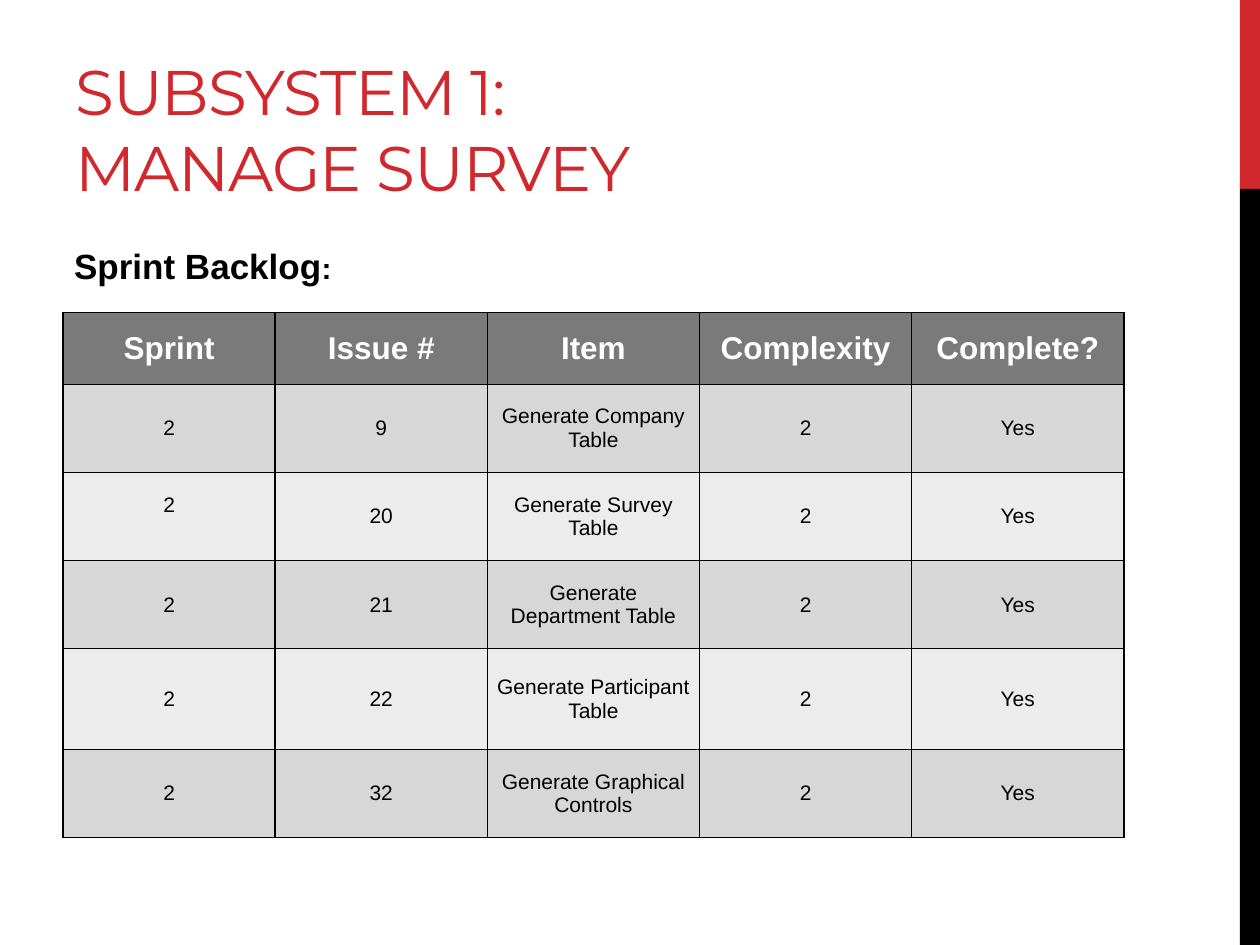
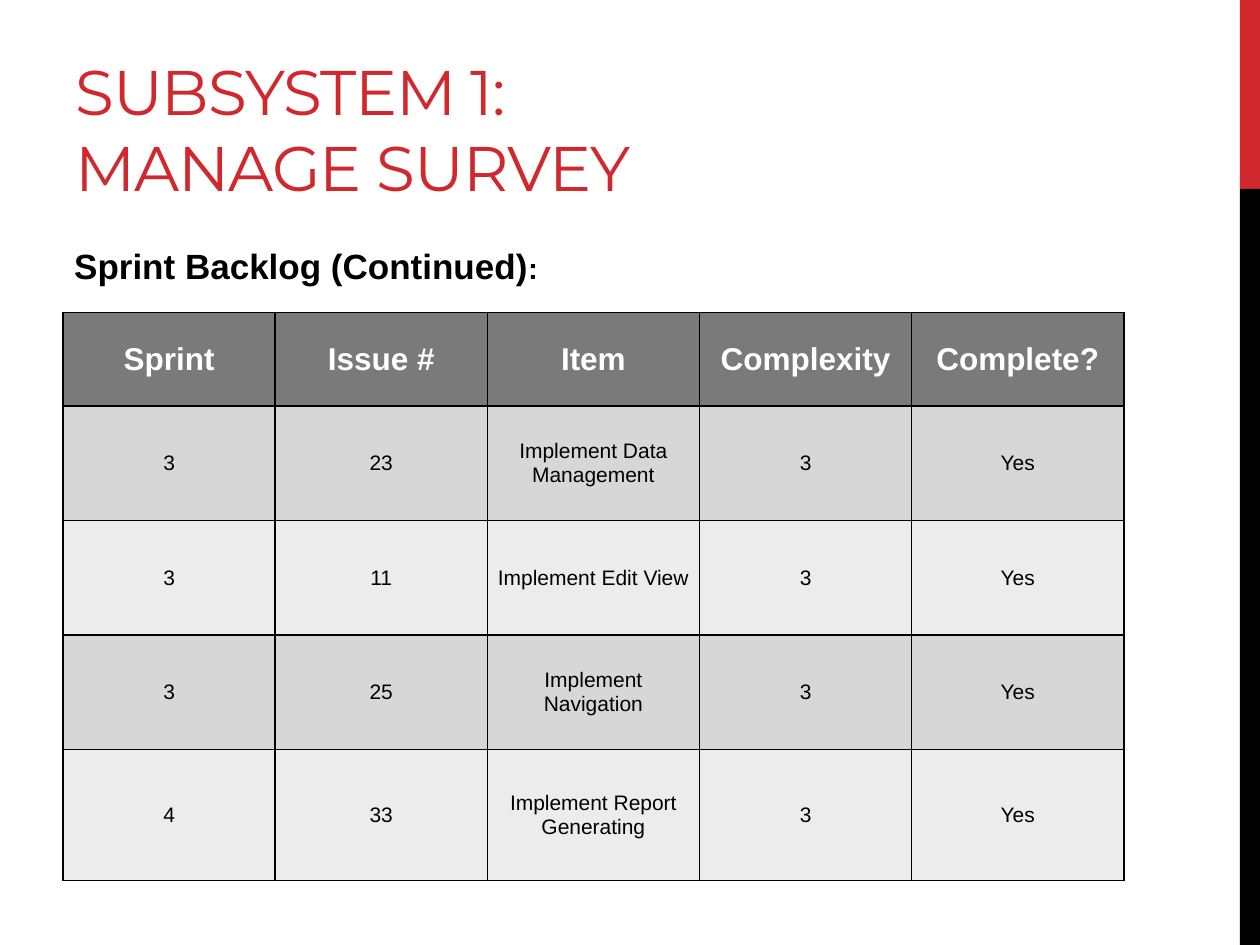
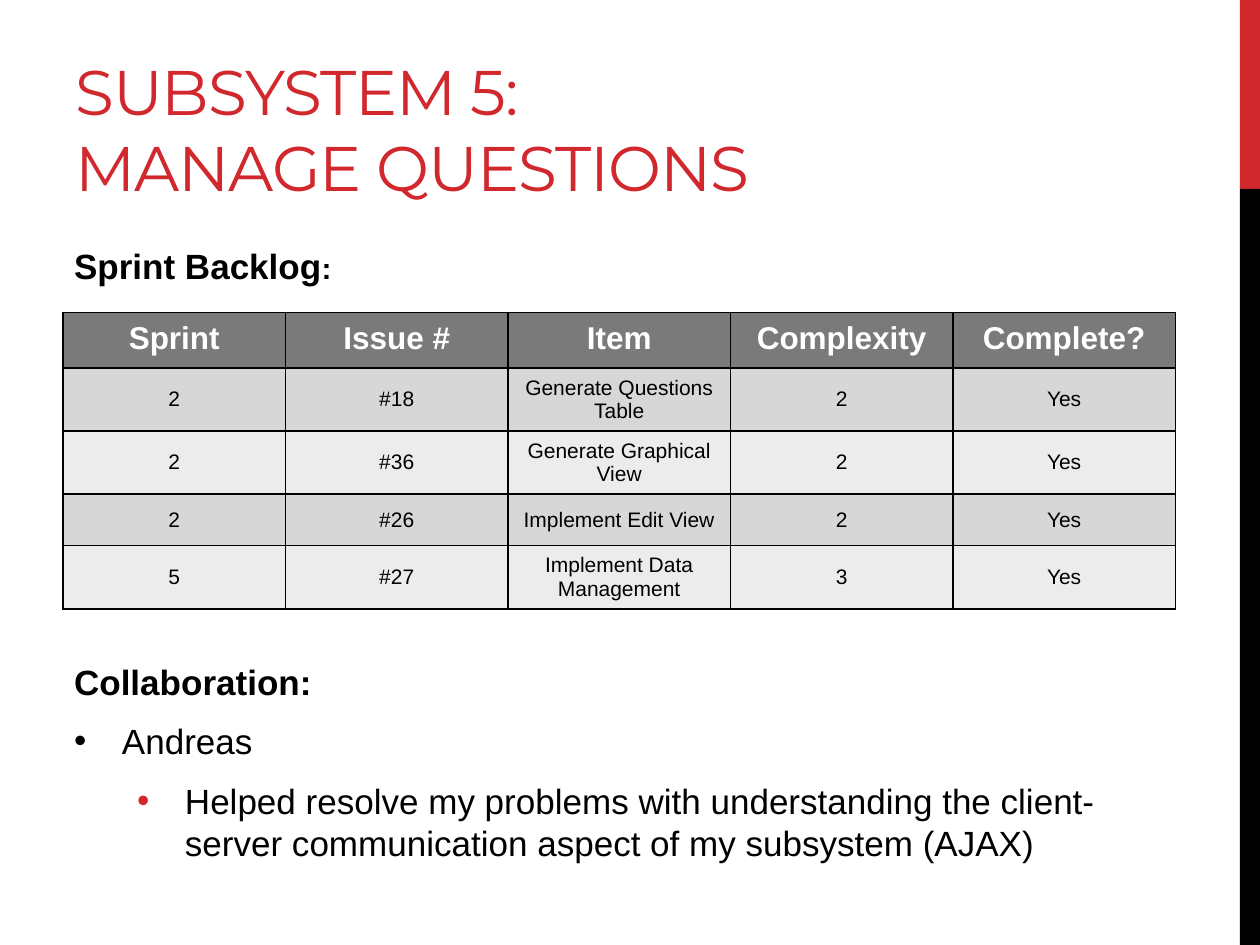
from lxml import etree
from pptx import Presentation
from pptx.dml.color import RGBColor
from pptx.enum.shapes import MSO_SHAPE
from pptx.enum.text import MSO_ANCHOR, MSO_AUTO_SIZE, PP_ALIGN
from pptx.oxml.ns import qn
from pptx.util import Inches, Pt

RECTANGLE = MSO_SHAPE.RECTANGLE
TOP, MIDDLE, BOTTOM = MSO_ANCHOR.TOP, MSO_ANCHOR.MIDDLE, MSO_ANCHOR.BOTTOM
CENTER = PP_ALIGN.CENTER
GROW = MSO_AUTO_SIZE.SHAPE_TO_FIT_TEXT

WIDTH, HEIGHT = Inches(10), Inches(7.5)
RED, BLACK, WHITE = "D1282E", "000000", "FFFFFF"
HEADER_GRAY, BANDS = "7A7A7A", ("D7D7D7", "ECECEC")
BODY_FONT, TITLE_FONT = "Arial", "Montserrat"

STRIPES = [((98.4, 0, 1.6, 20), RED), ((98.4, 20, 1.6, 80), BLACK)]
TITLE_BOX = (5, 2.27, 63.3, 20)
BACKLOG_LEFT, BACKLOG_TOP = 5, 33.07
COLLABORATION_BOX = (4.9, 68.93, 88.3, 23.33)
COLUMNS = ["Sprint", "Issue #", "Item", "Complexity", "Complete?"]


def color(value):
    return RGBColor.from_string(value)


def across(percent):
    return round(WIDTH * percent / 100)


def down(percent):
    return round(HEIGHT * percent / 100)


def place(box):
    left, top, width, height = box
    return across(left), down(top), across(width), down(height)


def style(run, size, ink=BLACK, bold=False, face=BODY_FONT):
    run.font.size = Pt(size)
    run.font.name = face
    run.font.bold = bold
    run.font.color.rgb = color(ink)


def add_stripes(slide):
    for box, ink in STRIPES:
        stripe = slide.shapes.add_shape(RECTANGLE, *place(box))
        stripe.shadow.inherit = False
        stripe.fill.solid()
        stripe.fill.fore_color.rgb = color(ink)
        stripe.line.fill.background()


def add_title(slide, box, title):
    frame = slide.shapes.add_textbox(*place(box)).text_frame
    frame.word_wrap = True
    frame.vertical_anchor = BOTTOM
    frame.text = title
    for run in frame.paragraphs[0].runs:
        style(run, 36, RED, face=TITLE_FONT)
        run.font._element.set("spc", "-60")


def add_heading(slide, box, heading):
    frame = slide.shapes.add_textbox(*place(box)).text_frame
    frame.word_wrap = False
    frame.auto_size = GROW
    paragraph = frame.paragraphs[0]
    paragraph.line_spacing = 0.9
    paragraph.space_before, paragraph.space_after = Pt(4), Pt(6)
    for words, size in ((heading, 20), (":", 17)):
        run = paragraph.add_run()
        run.text = words
        style(run, size, bold=True)


def add_borders(cell):
    properties = cell._tc.get_or_add_tcPr()
    for side in ("a:lnL", "a:lnR", "a:lnT", "a:lnB"):
        line = etree.SubElement(properties, qn(side), w=str(Pt(1)))
        fill = etree.SubElement(line, qn("a:solidFill"))
        etree.SubElement(fill, qn("a:srgbClr"), val=BLACK)


def fill_cell(cell, words, is_header, shade, inset, anchor):
    add_borders(cell)
    cell.fill.solid()
    cell.fill.fore_color.rgb = color(shade)
    cell.margin_left = cell.margin_right = Inches(0.07)
    cell.margin_top = cell.margin_bottom = Inches(inset)
    cell.vertical_anchor = anchor
    cell.text = words
    paragraph = cell.text_frame.paragraphs[0]
    paragraph.alignment = CENTER
    if is_header:
        style(paragraph.runs[0], 18, WHITE, True)
    else:
        style(paragraph.runs[0], 12)


def add_backlog(slide, width, row_heights, items, inset=0.07, header_anchor=MIDDLE):
    box = (BACKLOG_LEFT, BACKLOG_TOP, width, sum(row_heights))
    backlog = slide.shapes.add_table(len(items) + 1, len(COLUMNS), *place(box)).table
    backlog.horz_banding = False
    for row, height in zip(backlog.rows, row_heights):
        row.height = down(height)
    for index, values in enumerate([COLUMNS] + items):
        is_header = index == 0
        shade = HEADER_GRAY if is_header else BANDS[(index - 1) % 2]
        for column, words in enumerate(values):
            fill_cell(backlog.cell(index, column), words, is_header, shade,
                      0.07 if is_header else inset,
                      header_anchor if is_header else MIDDLE)
    return backlog


def add_bullet(paragraph, indent, ink):
    properties = paragraph._p.get_or_add_pPr()
    properties.set("marL", str(Inches(indent)))
    properties.set("indent", str(-Inches(0.38)))
    bullet_color = etree.SubElement(properties, qn("a:buClr"))
    etree.SubElement(bullet_color, qn("a:srgbClr"), val=ink)
    etree.SubElement(properties, qn("a:buFont"), typeface=BODY_FONT)
    etree.SubElement(properties, qn("a:buChar"), char="•")


def add_collaboration(slide, box, heading, person, help_given):
    frame = slide.shapes.add_textbox(*place(box)).text_frame
    frame.word_wrap = True
    frame.vertical_anchor = MIDDLE
    frame.margin_top = frame.margin_bottom = Inches(0.1)
    frame.text = "\n".join((heading, person, help_given))
    heading_line, person_line, help_line = frame.paragraphs
    style(heading_line.runs[0], 20, bold=True)
    help_line.level = 1
    for line, indent, ink in ((person_line, 0.38, BLACK), (help_line, 0.88, RED)):
        line.space_before = Pt(10)
        add_bullet(line, indent, ink)
        style(line.runs[0], 20)


def add_subsystem_slide(deck, title, heading, heading_width):
    slide = deck.slides.add_slide(deck.slide_layouts[6])
    add_stripes(slide)
    add_title(slide, TITLE_BOX, title)
    add_heading(slide, (4.9, 25.73, heading_width, 5.33), heading)
    return slide


def main():
    deck = Presentation()
    deck.slide_width, deck.slide_height = WIDTH, HEIGHT
    survey_title = "SUBSYSTEM 1:\vMANAGE SURVEY"

    survey = add_subsystem_slide(deck, survey_title, "Sprint Backlog", 22.6)
    survey_backlog = add_backlog(survey, 84.2, [7.6, 9.33, 9.33, 9.33, 10.67, 9.33], [
        ["2", "9", "Generate Company Table", "2", "Yes"],
        ["2", "20", "Generate Survey Table", "2", "Yes"],
        ["2", "21", "Generate Department Table", "2", "Yes"],
        ["2", "22", "Generate Participant Table", "2", "Yes"],
        ["2", "32", "Generate Graphical Controls", "2", "Yes"],
    ])
    survey_backlog.cell(2, 0).margin_bottom = Inches(0.25)

    continued = add_subsystem_slide(
        deck, survey_title, "Sprint Backlog (Continued)", 39.1)
    add_backlog(continued, 84.2, [9.87, 12.13, 12.13, 12.13, 13.87], [
        ["3", "23", "Implement Data Management", "3", "Yes"],
        ["3", "11", "Implement Edit View", "3", "Yes"],
        ["3", "25", "Implement Navigation", "3", "Yes"],
        ["4", "33", "Implement Report Generating", "3", "Yes"],
    ])

    questions = add_subsystem_slide(
        deck, "SUBSYSTEM 5:\vMANAGE QUESTIONS", "Sprint Backlog", 22.6)
    add_backlog(questions, 88.3, [5.47] * 5, [
        ["2", "#18", "Generate Questions Table", "2", "Yes"],
        ["2", "#36", "Generate Graphical View", "2", "Yes"],
        ["2", "#26", "Implement Edit View", "2", "Yes"],
        ["5", "#27", "Implement Data Management", "3", "Yes"],
    ], inset=0.05, header_anchor=TOP)
    add_collaboration(
        questions, COLLABORATION_BOX, "Collaboration:", "Andreas",
        "Helped resolve my problems with understanding the client-server "
        "communication aspect of my subsystem (AJAX)")

    deck.save("out.pptx")


if __name__ == "__main__":
    main()
